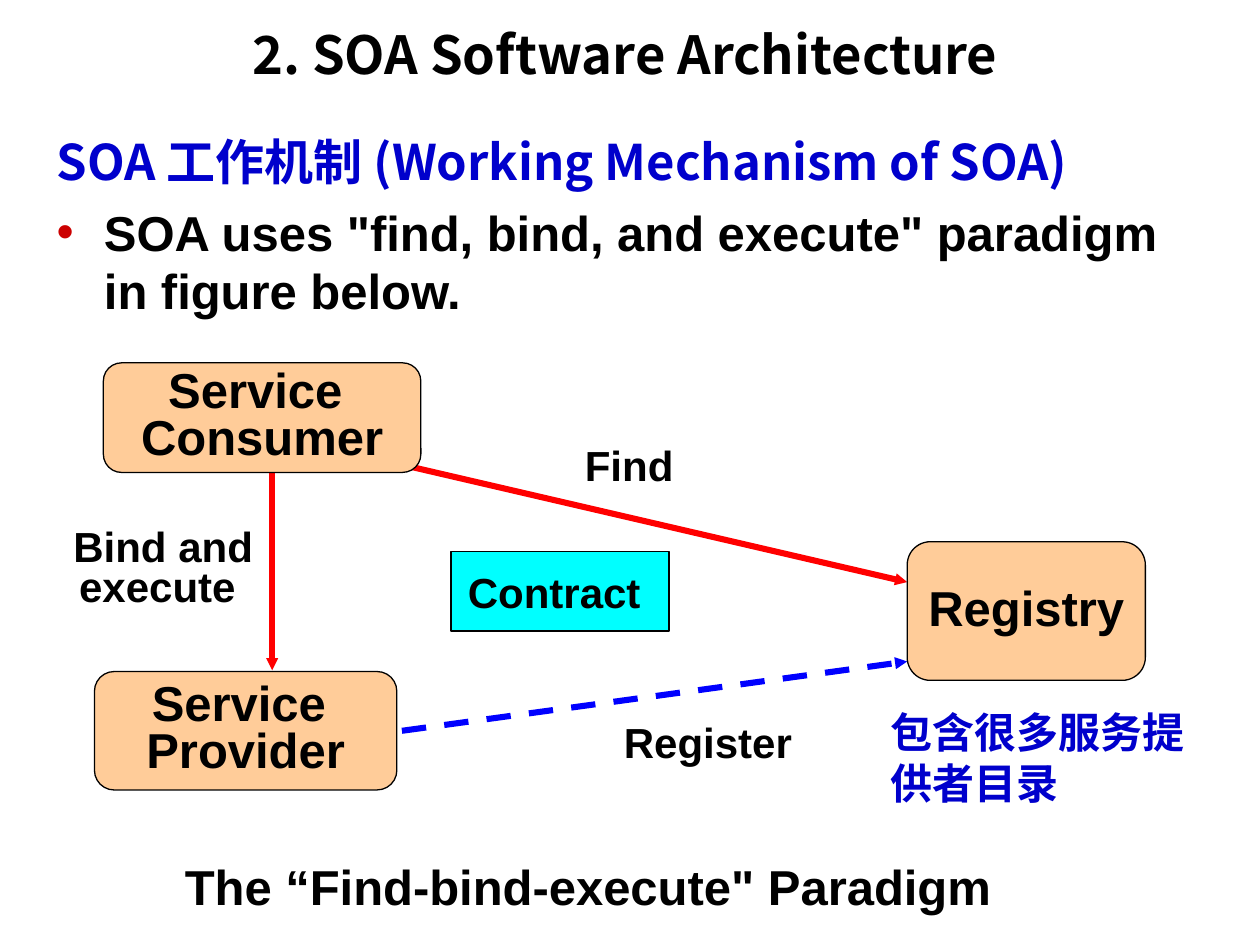
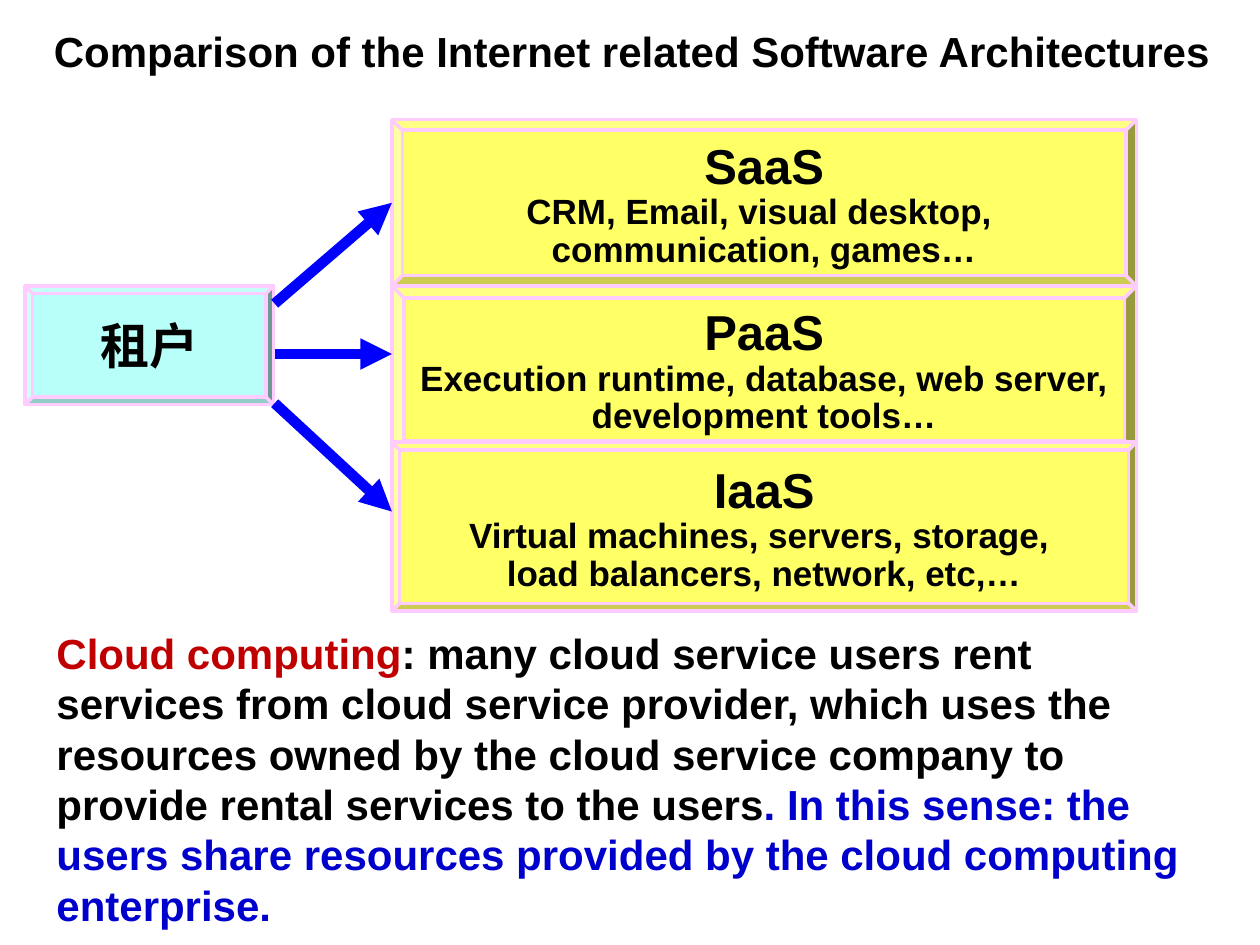
import dataclasses

import lxml.etree
import pptx
import pptx.dml.color
import pptx.enum.dml
import pptx.enum.shapes
import pptx.enum.text
import pptx.oxml.ns
import pptx.util

COLORS = {
    "text": "000000",
    "accent": "0000CC",
    "bullet": "CC0000",
    "term": "C00000",
    "participant": "FFCC99",
    "contract": "00FFFF",
    "call": "FF0000",
    "register": "0000FF",
    "tier": "FFFF66",
    "tenant": "B7FFF8",
    "bevel_edge": "FFCCFF",
}
LATIN = "Arial"
CJK = "Noto Sans CJK SC"
COLUMNS, ROWS = 100, 75
SLIDE_WIDTH, SLIDE_HEIGHT = pptx.util.Inches(10), pptx.util.Inches(7.5)
ALIGN = pptx.enum.text.PP_ALIGN
ANCHOR = pptx.enum.text.MSO_ANCHOR
SHAPE = pptx.enum.shapes.MSO_SHAPE


@dataclasses.dataclass
class Box:
    col: float
    row: float
    cols: float
    rows: float

    def area(self, col, row, cols, rows):
        return Box(self.col + col, self.row + row, cols, rows)

    def point(self, col, row):
        return to_x(self.col + col), to_y(self.row + row)

    def bounds(self):
        return to_x(self.col), to_y(self.row), to_x(self.cols), to_y(self.rows)


def to_x(cols):
    return round(SLIDE_WIDTH * cols / COLUMNS)


def to_y(rows):
    return round(SLIDE_HEIGHT * rows / ROWS)


def rgb(name):
    return pptx.dml.color.RGBColor.from_string(COLORS[name])


def add_element(parent, tag, **attributes):
    return lxml.etree.SubElement(parent, pptx.oxml.ns.qn(tag), attributes)


def format_run(run, size, color="text", font=LATIN):
    run.font.size = pptx.util.Pt(size)
    run.font.bold = True
    run.font.color.rgb = rgb(color)
    run.font.name = font
    add_element(run._r.get_or_add_rPr(), "a:ea", typeface=font)


def format_paragraph(paragraph, size, color="text", font=LATIN,
                     spacing=1.0, align=ALIGN.CENTER):
    paragraph.alignment = align
    paragraph.line_spacing = spacing
    paragraph.space_before = pptx.util.Pt(0)
    for run in paragraph.runs:
        format_run(run, size, color, font)


def place(placeholder, box):
    placeholder.left, placeholder.top, placeholder.width, placeholder.height = box.bounds()
    placeholder.text_frame.auto_size = pptx.enum.text.MSO_AUTO_SIZE.NONE


def add_title(slide, box, text, size, font, anchor, inset):
    title = slide.shapes.title
    place(title, box)
    frame = title.text_frame
    frame.vertical_anchor = anchor
    frame.margin_left = frame.margin_right = pptx.util.Inches(inset)
    frame.margin_top = frame.margin_bottom = pptx.util.Inches(inset / 2)
    frame.text = text
    format_paragraph(frame.paragraphs[0], size, font=font, spacing=0.85)


def add_label(slide, box, text, size=24, **formatting):
    frame = slide.shapes.add_textbox(*box.bounds()).text_frame
    frame.word_wrap = True
    frame.text = text
    format_paragraph(frame.paragraphs[0], size, **formatting)


def add_panel(slide, box, kind, fill, edge="text", edge_width=0.75, depth=None, wrap=False):
    panel = slide.shapes.add_shape(kind, *box.bounds())
    panel.shadow.inherit = False
    panel.fill.solid()
    panel.fill.fore_color.rgb = rgb(fill)
    panel.line.color.rgb = rgb(edge)
    panel.line.width = pptx.util.Pt(edge_width)
    if depth:
        panel.adjustments[0] = depth
    panel.text_frame.word_wrap = wrap
    panel.text_frame.vertical_anchor = ANCHOR.MIDDLE
    return panel.text_frame


def add_bevel(slide, box, fill, depth):
    return add_panel(slide, box, SHAPE.BEVEL, fill, "bevel_edge", 2, depth, True)


def add_arrow(slide, start, end, color, width, head, dashed=False):
    arrow = slide.shapes.add_connector(
        pptx.enum.shapes.MSO_CONNECTOR.STRAIGHT, *start, *end)
    arrow.line.color.rgb = rgb(color)
    arrow.line.width = pptx.util.Pt(width)
    if dashed:
        arrow.line.dash_style = pptx.enum.dml.MSO_LINE.DASH
    add_element(arrow.line._get_or_add_ln(), "a:tailEnd", type="triangle", w=head, len=head)
    add_element(arrow._element.spPr, "a:effectLst")


def add_mechanism_text(slide, box):
    body = slide.placeholders[1]
    place(body, box)
    heading = body.text_frame.paragraphs[0]
    heading.text = "SOA 工作机制 (Working Mechanism of SOA)"
    add_element(heading._p.get_or_add_pPr(), "a:buNone")
    format_paragraph(heading, 28, "accent", CJK, align=ALIGN.LEFT)
    point = body.text_frame.add_paragraph()
    point.text = 'SOA uses "find, bind, and execute" paradigm in figure below.'
    properties = point._p.get_or_add_pPr()
    add_element(add_element(properties, "a:buClr"), "a:srgbClr", val=COLORS["bullet"])
    add_element(properties, "a:buChar", char="•")
    format_paragraph(point, 28, align=ALIGN.LEFT)
    point.space_before = pptx.util.Pt(7)


def add_paradigm_diagram(slide, box):
    contract = add_panel(slide, box.area(32.3, 15, 17.3, 6.3), SHAPE.RECTANGLE, "contract")
    contract.text = "Contract "
    format_paragraph(contract.paragraphs[0], 24)

    calls = [
        ((27.6, 7.9), (68.5, 17.4), "call", False),
        ((28.4, 29.2), (68.5, 23.7), "register", True),
        ((18.1, 7.9), (18.1, 24.4), "call", False),
    ]
    for start, end, color, dashed in calls:
        add_arrow(slide, box.point(*start), box.point(*end), color, 3.5, "sm", dashed)

    add_label(slide, box.area(39.4, 5.6, 15, 5), "Find ")
    add_label(slide, box.area(44.1, 27.6, 18.1, 5), "Register ")
    add_label(slide, box.area(0, 12.8, 18.9, 7.4), "Bind and execute ", spacing=0.8)

    participants = [
        ((4.7, 0, 25.2, 8.7), "Service \nConsumer", 0.8),
        ((4, 24.5, 24, 9.4), "Service \nProvider", 0.8),
        ((68.5, 14.2, 18.9, 11), "Registry", 0.9),
    ]
    for bounds, name, spacing in participants:
        participant = add_panel(
            slide, box.area(*bounds), SHAPE.ROUNDED_RECTANGLE, "participant")
        participant.text = name
        for paragraph in participant.paragraphs:
            format_paragraph(paragraph, 28, spacing=spacing)

    add_label(slide, box.area(66.2, 26.8, 27.6, 9), "包含很多服务提供者目录",
              color="accent", font=CJK, align=ALIGN.LEFT)
    add_label(slide, box.area(0.8, 39.2, 85.8, 5),
              'The “Find-bind-execute" Paradigm ', 28, spacing=0.9)


def add_cloud_stack(slide, box):
    tiers = [
        (0, 13.2, 0.063, "SaaS\nCRM, Email, visual desktop, \ncommunication, games…"),
        (13.2, 13.2, 0.072,
         "PaaS\nExecution runtime, database, web server, \ndevelopment tools…"),
        (25.6, 13.4, 0.046,
         "IaaS\nVirtual machines, servers, storage, \nload balancers, network, etc,…"),
    ]
    for row, rows, depth, content in tiers:
        tier = add_bevel(slide, box.area(29.1, row, 59.1, rows), "tier", depth)
        tier.text = content
        name, *examples = tier.paragraphs
        format_paragraph(name, 28)
        for example in examples:
            format_paragraph(example, 20, spacing=0.9)

    tenant = add_bevel(slide, box.area(0, 13.2, 19.7, 9.4), "tenant", 0.063)
    tenant.text = "租户"
    format_paragraph(tenant.paragraphs[0], 28, font=CJK)

    for start_row, end_row in [(14.6, 6.6), (18.6, 18.6), (22.5, 31.1)]:
        add_arrow(slide, box.point(19.8, start_row), box.point(29.1, end_row),
                  "register", 6, "med")


def add_cloud_definition(slide, box):
    frame = slide.shapes.add_textbox(*box.bounds()).text_frame
    frame.word_wrap = True
    definition = frame.paragraphs[0]
    format_paragraph(definition, 24, align=ALIGN.LEFT)
    statements = [
        ("Cloud computing", "term"),
        (": many cloud service users rent services from cloud service provider, "
         "which uses the resources owned by the cloud service company to provide "
         "rental services to the users", "text"),
        (". In this sense: the users share resources provided by the cloud "
         "computing enterprise.", "accent"),
    ]
    for statement, color in statements:
        run = definition.add_run()
        run.text = statement
        format_run(run, 24, color)


def build_mechanism_slide(deck):
    slide = deck.slides.add_slide(deck.slide_layouts[1])
    add_title(slide, Box(6.7, 2.1, 85.8, 5.1), "2. SOA Software Architecture",
              30, CJK, ANCHOR.MIDDLE, 0)
    add_mechanism_text(slide, Box(3.5, 9.9, 93.7, 17.3))
    add_paradigm_diagram(slide, Box(3.5, 28.8, 93.8, 44.2))


def build_comparison_slide(deck):
    slide = deck.slides.add_slide(deck.slide_layouts[5])
    add_title(slide, Box(3.1, 2.1, 94.1, 7),
              "Comparison of the Internet related Software Architectures",
              24, LATIN, ANCHOR.TOP, 0.1)
    add_cloud_stack(slide, Box(2, 9.5, 88.2, 39))
    add_cloud_definition(slide, Box(3.5, 49.3, 91.3, 25))


def main():
    deck = pptx.Presentation()
    deck.slide_width, deck.slide_height = SLIDE_WIDTH, SLIDE_HEIGHT
    build_mechanism_slide(deck)
    build_comparison_slide(deck)
    deck.save("out.pptx")


if __name__ == "__main__":
    main()
